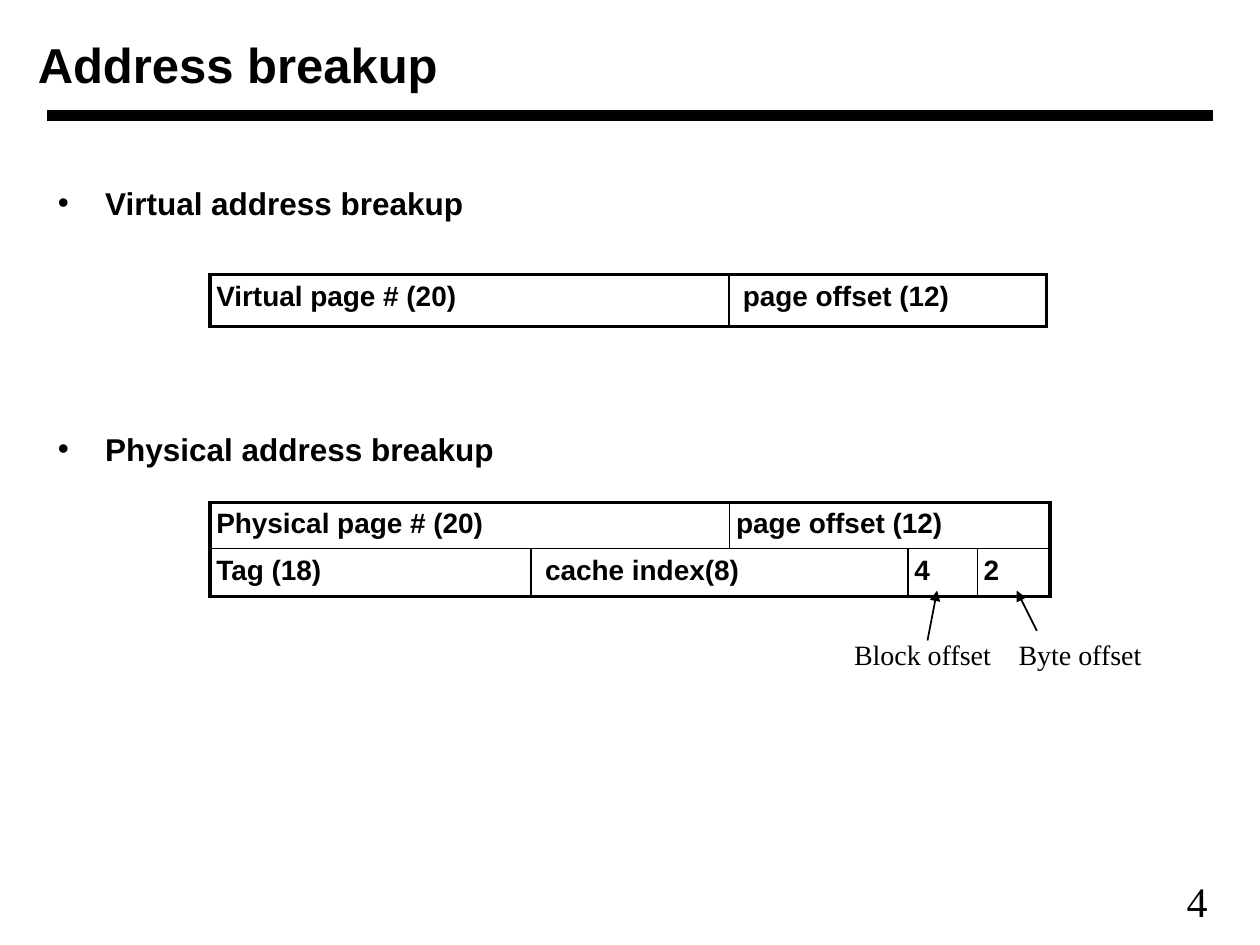
from lxml import etree
from pptx import Presentation
from pptx.dml.color import RGBColor
from pptx.enum.shapes import MSO_CONNECTOR
from pptx.enum.text import MSO_ANCHOR, PP_ALIGN
from pptx.oxml.ns import qn
from pptx.util import Pt

BLACK = RGBColor(0x00, 0x00, 0x00)
STRAIGHT = MSO_CONNECTOR.STRAIGHT
LEFT = PP_ALIGN.LEFT
TOP, MIDDLE = MSO_ANCHOR.TOP, MSO_ANCHOR.MIDDLE
SANS, SERIF = "Arial", "Times New Roman"
INSET = 3.6
THICK, THIN = 2.25, 1


def add_run(paragraph, text, size, font_name, bold=False):
    paragraph.alignment = LEFT
    run = paragraph.add_run()
    run.text = text
    run.font.size = Pt(size)
    run.font.name = font_name
    run.font.bold = bold
    run.font.color.rgb = BLACK


def set_insets(target, horizontal=INSET):
    target.margin_left = target.margin_right = Pt(horizontal)
    target.margin_top = target.margin_bottom = Pt(INSET)


def add_line(slide, start, end, width, arrow=False):
    connector = slide.shapes.add_connector(STRAIGHT, *map(Pt, start + end))
    connector.line.color.rgb = BLACK
    connector.line.width = Pt(width)
    if arrow:
        line = connector.line._get_or_add_ln()
        etree.SubElement(line, qn("a:tailEnd"), type="triangle")
    properties = connector._element.spPr
    etree.SubElement(properties, qn("a:effectLst"))


def add_label(slide, text, box, size, horizontal_inset=INSET):
    shape = slide.shapes.add_textbox(*map(Pt, box))
    frame = shape.text_frame
    frame.word_wrap = False
    set_insets(frame, horizontal_inset)
    add_run(frame.paragraphs[0], text, size, SERIF)


def place_title(slide, text, box):
    title = slide.shapes.title
    title.left, title.top, title.width, title.height = map(Pt, box)
    frame = title.text_frame
    frame.vertical_anchor = MIDDLE
    set_insets(frame)
    add_run(frame.paragraphs[0], text, 28, SANS, bold=True)


def add_headings(slide, headings, box):
    """Bulleted headings, given as (text, space before)."""
    frame = slide.shapes.add_textbox(*map(Pt, box)).text_frame
    frame.word_wrap = True
    set_insets(frame)
    for index, (text, space_before) in enumerate(headings):
        paragraph = frame.add_paragraph() if index else frame.paragraphs[0]
        paragraph.space_before = Pt(space_before)
        add_run(paragraph, text, 18, SANS, bold=True)
        properties = paragraph._p.get_or_add_pPr()
        properties.set("marL", str(Pt(27)))
        properties.set("indent", str(-Pt(27)))
        etree.SubElement(properties, qn("a:buFont"), typeface=SANS)
        etree.SubElement(properties, qn("a:buChar"), char="•")


def set_borders(cell, widths):
    properties = cell._tc.get_or_add_tcPr()
    for side, width in zip("LRTB", widths):
        line = etree.SubElement(properties, qn(f"a:ln{side}"), w=str(Pt(width)))
        fill = etree.SubElement(line, qn("a:solidFill"))
        etree.SubElement(fill, qn("a:srgbClr"), val=str(BLACK))


def add_address_table(slide, origin, column_widths, row_heights, fields):
    """Rows of bit fields, each field as (text, column span, left inset)."""
    columns, rows = len(column_widths), len(row_heights)
    box = (*origin, sum(column_widths), sum(row_heights))
    table = slide.shapes.add_table(rows, columns, *map(Pt, box)).table
    table.first_row = table.horz_banding = False
    for column, width in zip(table.columns, column_widths):
        column.width = Pt(width)
    for row, height in zip(table.rows, row_heights):
        row.height = Pt(height)

    for row, row_fields in enumerate(fields):
        first = 0
        for text, span, left_inset in row_fields:
            last = first + span - 1
            cell = table.cell(row, first)
            if span > 1:
                cell.merge(table.cell(row, last))
            set_insets(cell)
            cell.margin_left = Pt(left_inset)
            cell.vertical_anchor = TOP
            add_run(cell.text_frame.paragraphs[0], text, 16, SANS, bold=True)
            # Thick outline, thin dividers
            outer = (first == 0, last == columns - 1, row == 0, row == rows - 1)
            set_borders(cell, [THICK if edge else THIN for edge in outer])
            cell.fill.background()
            first = last + 1


def add_offset_callouts(slide, left, top):
    """Labels under the two lowest fields, with arrows up to them."""
    add_label(slide, "Block offset", (left, top, 86, 24.5), 16)
    add_label(slide, "Byte offset", (left + 94, top, 78, 24.5), 16)
    tip = top - 23
    add_line(slide, (left + 45.5, top + 5.5), (left + 51, tip), 1, arrow=True)
    add_line(slide, (left + 108, top), (left + 96.5, tip), 1, arrow=True)


def build_address_slide(presentation):
    slide = presentation.slides.add_slide(presentation.slide_layouts[5])

    # Header and page number
    add_line(slide, (27, 66), (693, 66), 6)
    add_label(slide, "4", (671, 497, 20, 33), 24, horizontal_inset=7.2)
    place_title(slide, "Address breakup", (18, 12.5, 600, 48))

    # Headings
    add_headings(
        slide,
        [("Virtual address breakup", 4), ("Physical address breakup", 119)],
        (29.5, 101.5, 636.5, 300),
    )

    # Virtual address
    add_address_table(
        slide, (120, 157), [296.5, 181.5], [29.5],
        [[("Virtual page # (20)", 1, INSET), ("page offset (12)", 1, 8)]],
    )

    # Physical address
    add_address_table(
        slide, (120, 287), [183.5, 113.5, 102, 39.5, 41.5], [26.5, 27.5],
        [
            [("Physical page # (20)", 2, INSET), ("page offset (12)", 3, INSET)],
            [("Tag (18)", 1, INSET), ("cache index(8)", 2, 8),
             ("4", 1, INSET), ("2", 1, INSET)],
        ],
    )
    add_offset_callouts(slide, 484.5, 360.5)


def main():
    presentation = Presentation()
    presentation.slide_width, presentation.slide_height = Pt(720), Pt(540)
    build_address_slide(presentation)
    presentation.save("out.pptx")


if __name__ == "__main__":
    main()
